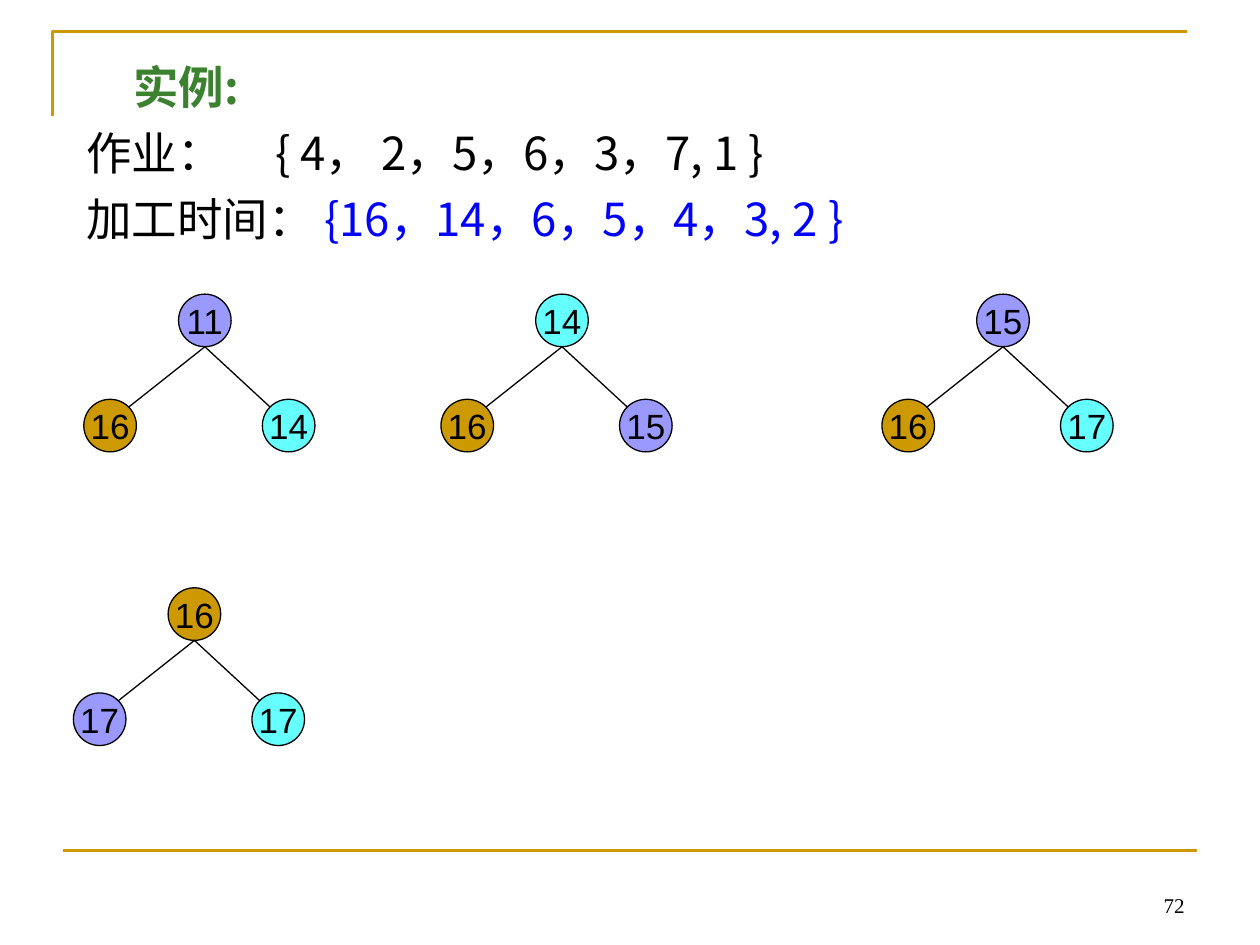
from lxml import etree
from pptx import Presentation
from pptx.dml.color import RGBColor
from pptx.enum import shapes, text
from pptx.oxml import ns
from pptx.util import Cm, Pt

GOLD, VIOLET, CYAN, BLACK = "CC9900", "9999FF", "66FFFF", "000000"
CJK = "Noto Sans CJK SC"

# Content: each line is a list of (text, format) runs
HEADING = [("实例:", dict(color="3B812F", bold=True))]
JOBS = [("作业：\t{ 4， 2，5，6，3，7, 1 }", {})]
TIMES = [("加工时间： ", {}), ("{16，14，6，5，4，3, 2 }", dict(color="0000FF"))]
PAGE_NUMBER = "72"

# Heaps: left and top of the root in cm, then root, left child, right child
HEAPS = [
    (3.6, 5.93, ("11", VIOLET), ("16", GOLD), ("14", CYAN)),
    (10.8, 5.93, ("14", CYAN), ("16", GOLD), ("15", VIOLET)),
    (19.69, 5.93, ("15", VIOLET), ("16", GOLD), ("17", CYAN)),
    (3.39, 11.85, ("16", GOLD), ("17", VIOLET), ("17", CYAN)),
]
NODE = 1.06                         # circle diameter
LEFT_SHIFT, RIGHT_SHIFT, DROP = -1.91, 1.69, 2.12
NEAR, FAR = NODE * 0.15, NODE * 0.85   # 45 degree points on a circle


def rgb(hex_color):
    return RGBColor.from_string(hex_color)


def add_text(paragraph, words, size=26, font=CJK, color=BLACK, bold=False):
    run = paragraph.add_run()
    run.text = words
    run.font.size, run.font.name, run.font.bold = Pt(size), font, bold
    run.font.color.rgb = rgb(color)
    etree.SubElement(run.font._element, ns.qn("a:ea"), typeface=font)


def add_line(slide, x1, y1, x2, y2, color=BLACK, width=0.75):
    line = slide.shapes.add_connector(
        shapes.MSO_CONNECTOR.STRAIGHT, Cm(x1), Cm(y1), Cm(x2), Cm(y2))
    line.line.color.rgb, line.line.width = rgb(color), Pt(width)
    etree.SubElement(line._element.spPr, ns.qn("a:effectLst"))


def add_node(slide, x, y, label, fill):
    node = slide.shapes.add_shape(
        shapes.MSO_SHAPE.OVAL, Cm(x), Cm(y), Cm(NODE), Cm(NODE))
    node.shadow.inherit = False
    node.fill.solid()
    node.fill.fore_color.rgb = rgb(fill)
    node.line.color.rgb, node.line.width = rgb(BLACK), Pt(0.75)
    frame = node.text_frame
    frame.word_wrap = False
    frame.vertical_anchor = text.MSO_ANCHOR.MIDDLE
    frame.paragraphs[0].alignment = text.PP_ALIGN.CENTER
    add_text(frame.paragraphs[0], label, size=20, font="Arial")


def add_heap(slide, x, y, root, left, right):
    child_y = y + DROP
    add_node(slide, x + RIGHT_SHIFT, child_y, *right)
    add_node(slide, x, y, *root)
    add_node(slide, x + LEFT_SHIFT, child_y, *left)
    for end_x in (x + LEFT_SHIFT + FAR, x + RIGHT_SHIFT + NEAR):
        add_line(slide, x + NODE / 2, y + NODE, end_x, child_y + NEAR)


def add_frame(slide):
    corner = slide.shapes.build_freeform(Cm(1.06), Cm(2.33))
    corner.add_line_segments([(Cm(1.06), Cm(0.64)), (Cm(23.92), Cm(0.64))], close=False)
    bracket = corner.convert_to_shape()
    bracket.shadow.inherit = False
    bracket.fill.background()
    bracket.line.color.rgb, bracket.line.width = rgb(GOLD), Pt(1.5)
    add_line(slide, 1.27, 17.15, 24.13, 17.15, GOLD, 1.5)

    number = slide.shapes.add_textbox(Cm(18.2), Cm(17.35), Cm(5.93), Cm(1.27)).text_frame
    number.word_wrap = True
    number.vertical_anchor = text.MSO_ANCHOR.BOTTOM
    number.paragraphs[0].alignment = text.PP_ALIGN.RIGHT
    add_text(number.paragraphs[0], PAGE_NUMBER, size=12, font="Times New Roman")


def fill_body(body):
    body.left, body.top, body.width, body.height = Cm(1.48), Cm(1.07), Cm(23.07), Cm(4.66)
    frame = body.text_frame
    frame.auto_size = text.MSO_AUTO_SIZE.NONE
    frame.vertical_anchor = text.MSO_ANCHOR.TOP
    for i, runs in enumerate((HEADING, JOBS, TIMES)):
        paragraph = frame.add_paragraph() if i else frame.paragraphs[0]
        # No bullet; the tab lines up the job list
        props = paragraph._p.get_or_add_pPr()
        props.set("marL", str(Cm(0 if i else 0.95)))
        props.set("indent", "0")
        etree.SubElement(props, ns.qn("a:buNone"))
        tabs = etree.SubElement(props, ns.qn("a:tabLst"))
        etree.SubElement(tabs, ns.qn("a:tab"), pos=str(Cm(4.2)), algn="l")
        paragraph.line_spacing = 1.0
        paragraph.space_before = Pt(6.5 if i else 0)
        for words, style in runs:
            add_text(paragraph, words, **style)


def main():
    deck = Presentation()
    deck.slide_width, deck.slide_height = Cm(25.4), Cm(19.05)
    slide = deck.slides.add_slide(deck.slide_layouts[1])
    title = slide.shapes.title._element
    title.getparent().remove(title)

    add_frame(slide)
    fill_body(slide.placeholders[1])
    for heap in HEAPS:
        add_heap(slide, *heap)
    deck.save("out.pptx")


if __name__ == "__main__":
    main()
